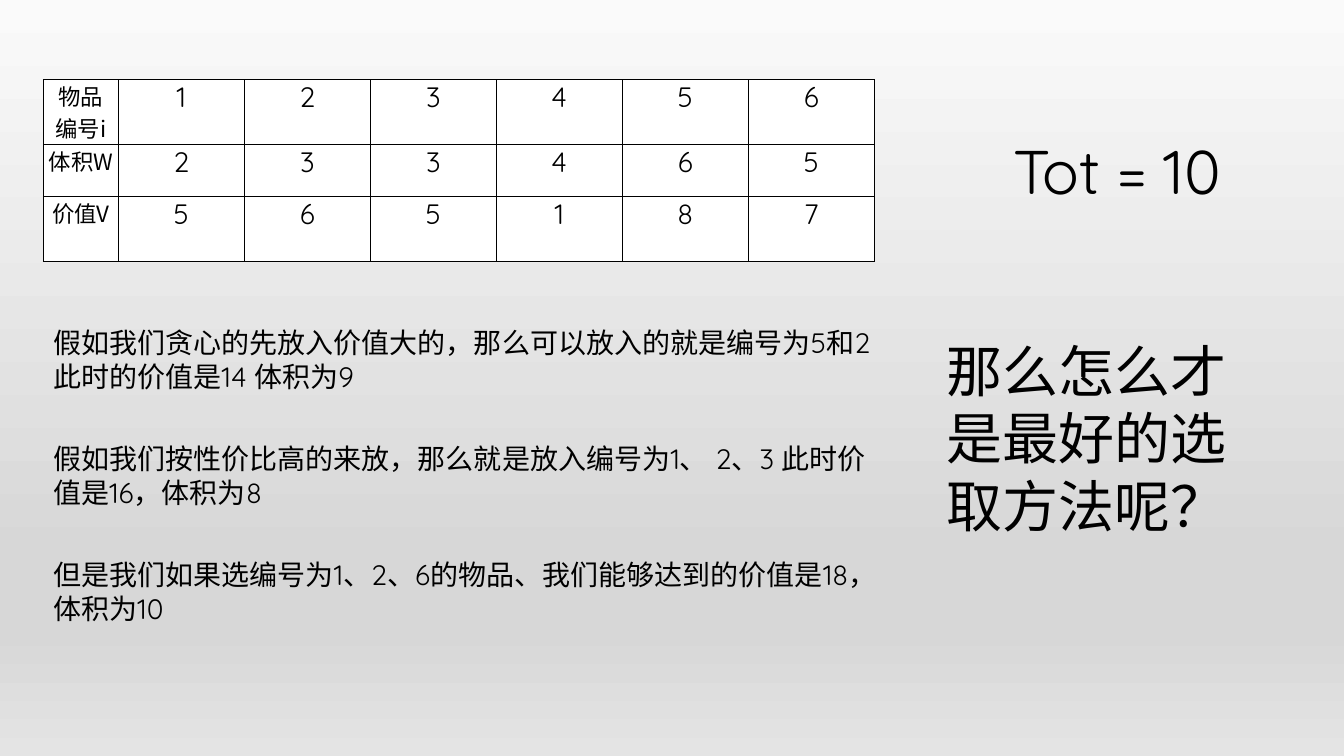
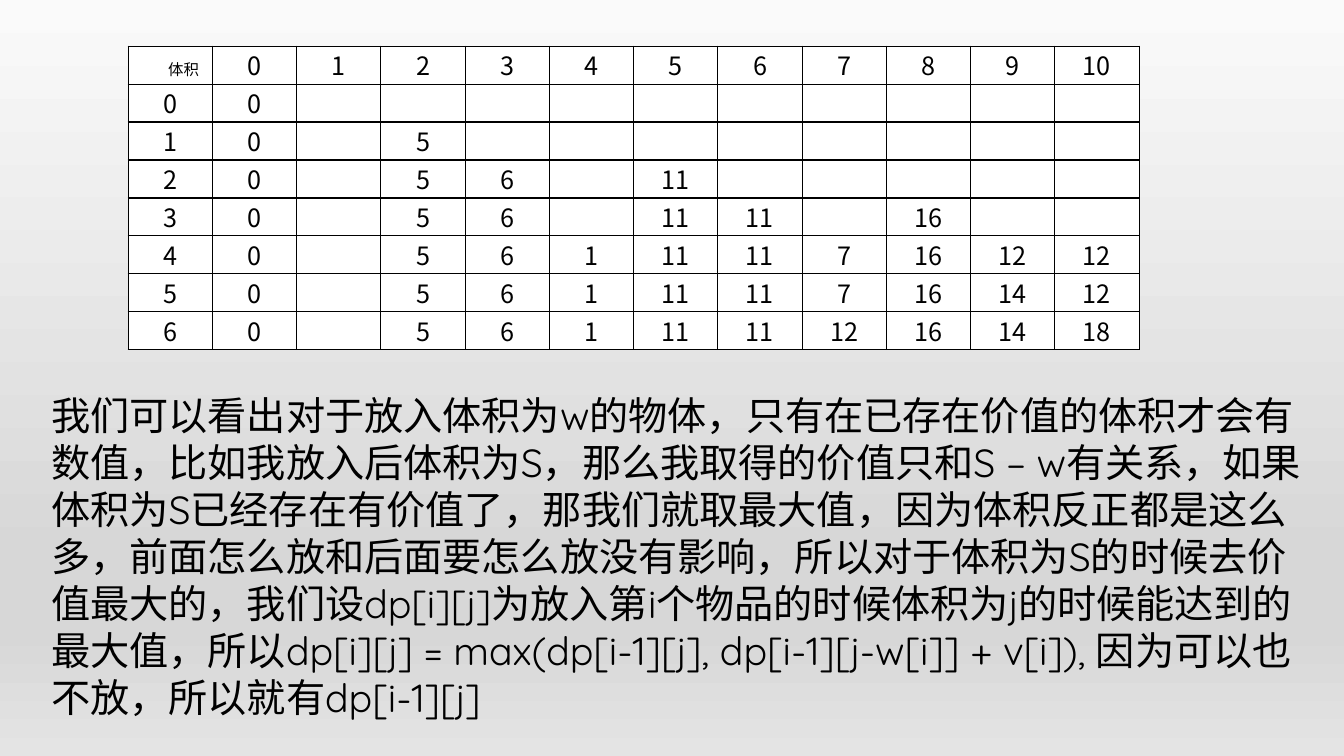
from lxml.etree import SubElement
from pptx import Presentation
from pptx.dml.color import RGBColor as RGB
from pptx.enum.text import MSO_AUTO_SIZE as AutoSize, PP_ALIGN as Align
from pptx.oxml.ns import qn
from pptx.util import Pt

COLORS = {"text": "000000", "cell": "FFFFFF", "border": "000000"}
BACKDROP = [(0, "FAFAFA"), (74, "D7D7D7"), (83, "D7D7D7"), (100, "E4E4E4")]
LATIN, CJK = "Quicksand", "Noto Sans CJK SC"

ITEMS = [
    ["物品\n编号i", 1, 2, 3, 4, 5, 6],
    ["体积W", 2, 3, 3, 4, 6, 5],
    ["价值V", 5, 6, 5, 1, 8, 7],
]
ITEM_COLS = [53.5] + [90] * 6
ITEM_ROWS = [45.5, 37.5, 46]

BEST_VALUES = [
    {0: 0},
    {0: 0, 2: 5},
    {0: 0, 2: 5, 3: 6, 5: 11},
    {0: 0, 2: 5, 3: 6, 5: 11, 6: 11, 8: 16},
    {0: 0, 2: 5, 3: 6, 4: 1, 5: 11, 6: 11, 7: 7, 8: 16, 9: 12, 10: 12},
    {0: 0, 2: 5, 3: 6, 4: 1, 5: 11, 6: 11, 7: 7, 8: 16, 9: 14, 10: 12},
    {0: 0, 2: 5, 3: 6, 4: 1, 5: 11, 6: 11, 7: 12, 8: 16, 9: 14, 10: 18},
]
VOLUMES = range(11)

GREEDY_NOTES = [
    (655, "假如我们贪心的先放入价值大的，那么可以放入的就是编号为5和2\n此时的价值是14 体积为9"),
    (596, "假如我们按性价比高的来放，那么就是放入编号为1、 2、3 此时价值是16，体积为8"),
    (621, "但是我们如果选编号为1、2、6的物品、我们能够达到的价值是18，体积为10"),
]
NOTE_TOP, NOTE_STEP = 229, 82.8

DP_TEXT = (
    "我们可以看出对于放入体积为w的物体，只有在已存在价值的体积才会有数值，"
    "比如我放入后体积为S，那么我取得的价值只和S – w有关系，"
    "如果体积为S已经存在有价值了，那我们就取最大值，因为体积反正都是这么多，"
    "前面怎么放和后面要怎么放没有影响，所以对于体积为S的时候去价值最大的，"
    "我们设dp[i][j]为放入第i个物品的时候体积为j的时候能达到的最大值，"
    "所以dp[i][j] = max(dp[i-1][j], dp[i-1][j-w[i]] + v[i]), "
    "因为可以也不放，所以就有dp[i-1][j]"
)


def set_backdrop(master):
    fill = master.background.fill
    fill.gradient()
    fill.gradient_angle = 270
    stops = master.element.find(".//" + qn("a:gsLst"))
    for stop in list(stops):
        stops.remove(stop)
    for pos, color in BACKDROP:
        stop = SubElement(stops, qn("a:gs"), pos=str(pos * 1000))
        SubElement(stop, qn("a:srgbClr"), val=color)


def write(tf, text, size, font, align=Align.LEFT):
    for i, line in enumerate(text.split("\n")):
        p = tf.add_paragraph() if i else tf.paragraphs[0]
        p.alignment = align
        if not line:
            continue
        r = p.add_run()
        r.text = line
        r.font.size = Pt(size)
        r.font.name = font
        r.font.color.rgb = RGB.from_string(COLORS["text"])
        SubElement(r.font._element, qn("a:ea"), typeface=font)


def add_text(s, x, y, w, h, text, size):
    tf = s.shapes.add_textbox(Pt(x), Pt(y), Pt(w), Pt(h)).text_frame
    tf.word_wrap = True
    tf.auto_size = AutoSize.SHAPE_TO_FIT_TEXT
    write(tf, text, size, LATIN)


def add_borders(cell):
    tc_pr = cell._tc.get_or_add_tcPr()
    for side in ("lnL", "lnR", "lnT", "lnB"):
        ln = SubElement(tc_pr, qn("a:" + side), w=str(Pt(1)))
        solid = SubElement(ln, qn("a:solidFill"))
        SubElement(solid, qn("a:srgbClr"), val=COLORS["border"])


def add_grid(s, x, y, cols, rows, data, style):
    frame = s.shapes.add_table(len(rows), len(cols), Pt(x), Pt(y), Pt(sum(cols)), Pt(sum(rows)))
    table = frame.table
    table.first_row = table.horz_banding = False
    for col, width in zip(table.columns, cols):
        col.width = Pt(width)
    for row, height in zip(table.rows, rows):
        row.height = Pt(height)
    for i, values in enumerate(data):
        for j, value in enumerate(values):
            cell = table.cell(i, j)
            cell.margin_left = cell.margin_right = cell.margin_top = cell.margin_bottom = 0
            add_borders(cell)
            cell.fill.solid()
            cell.fill.fore_color.rgb = RGB.from_string(COLORS["cell"])
            write(cell.text_frame, str(value), *style(i, j))
    return table


def item_style(i, j):
    return (20, LATIN, Align.CENTER) if j else (16, CJK, Align.CENTER)


def value_style(i, j):
    return (18, CJK, Align.CENTER) if i or j else (11, CJK, Align.RIGHT)


def greedy_slide(s):
    add_grid(s, 31, 57, ITEM_COLS, ITEM_ROWS, ITEMS, item_style)
    add_text(s, 716.5, 91.5, 220, 60.5, "Tot = 10", 44)
    for i, (width, note) in enumerate(GREEDY_NOTES):
        add_text(s, 31, NOTE_TOP + i * NOTE_STEP, width, 55.5, note, 20)
    add_text(s, 669, 237, 231, 152.5, "那么怎么才是最好的选取方法呢？", 40)


def dp_slide(s):
    data = [["体积", *VOLUMES]]
    data += [[i, *(row.get(v, "") for v in VOLUMES)] for i, row in enumerate(BEST_VALUES)]
    table = add_grid(s, 91.5, 33, [60.2] * len(data[0]), [27.1] * len(data), data, value_style)
    corner = table.cell(0, 0)
    corner.margin_right, corner.margin_top = Pt(9.5), Pt(8)
    add_text(s, 29.5, 276, 914.5, 245, DP_TEXT, 28)


def main():
    prs = Presentation()
    prs.slide_width, prs.slide_height = Pt(960), Pt(540)
    set_backdrop(prs.slide_master)
    for build in (greedy_slide, dp_slide):
        build(prs.slides.add_slide(prs.slide_layouts[6]))
    prs.save("out.pptx")


if __name__ == "__main__":
    main()
